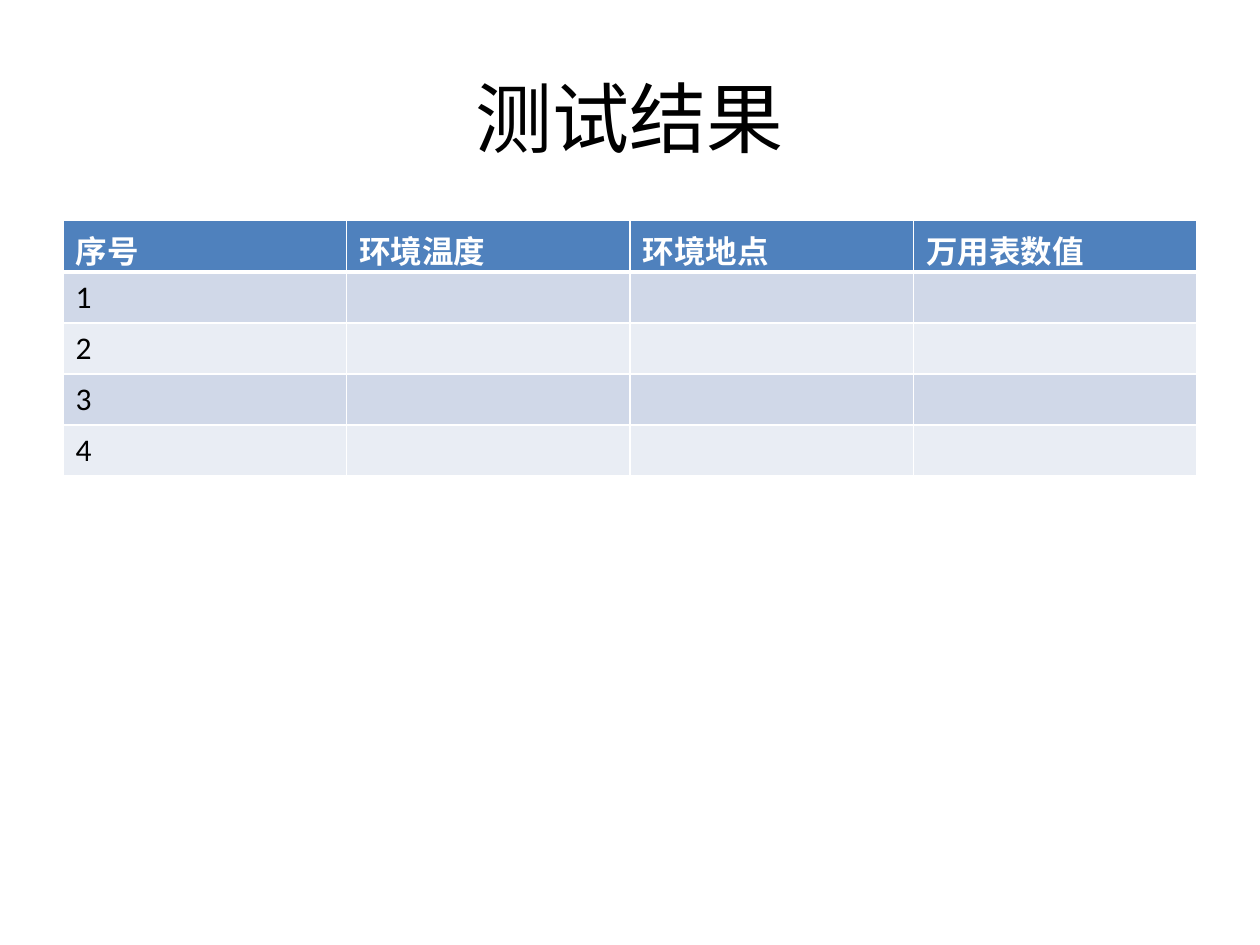
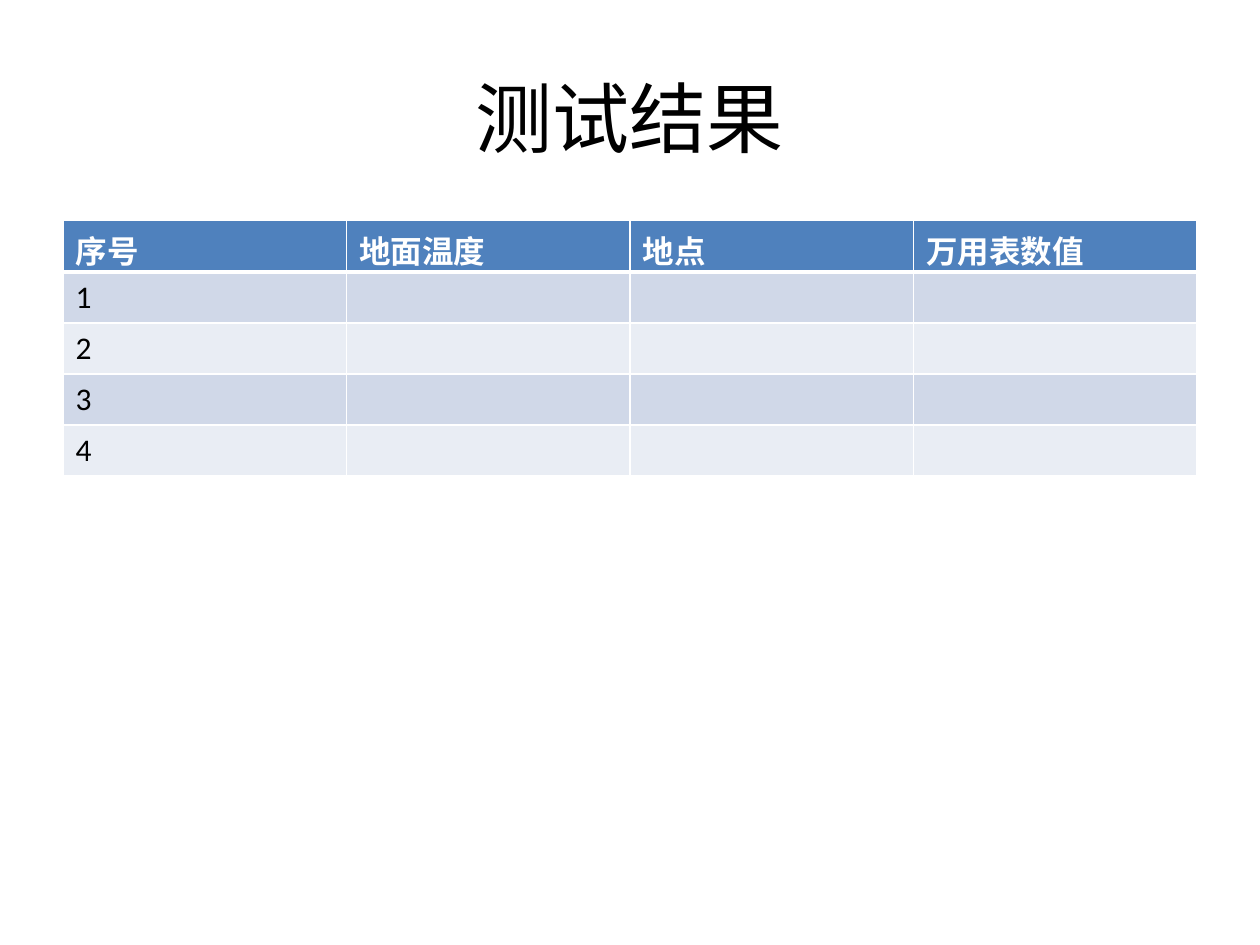
from pptx import Presentation
from pptx.dml.color import RGBColor
from pptx.enum.text import MSO_ANCHOR, PP_ALIGN
from pptx.oxml.ns import qn
from pptx.util import Cm, Pt
from lxml.etree import SubElement

FONT = "Calibri"
BLACK = "000000"
WHITE = "FFFFFF"
HEADER_FILL = "4F81BD"
BAND_FILLS = ["D0D8E8", "E9EDF4"]

TITLE = "测试结果"
TITLE_BOX = (1.27, 0.76, 22.86, 3.18)
TABLE_BOX = (1.27, 4.45, 22.86, 5.15)
SAMPLE_COUNT = 4
PAGE_HEADERS = [
    ["序号", "环境温度", "环境地点", "万用表数值"],
    ["序号", "地面温度", "地点", "万用表数值"],
]


def color(value):
    return RGBColor.from_string(value)


def add_span(para, text, size, text_color, bold=False):
    span = para.add_run()
    span.text = text
    span.font.name = FONT
    span.font.size = Pt(size)
    span.font.bold = bold
    span.font.color.rgb = color(text_color)


def add_title(page, box):
    title = page.shapes.add_textbox(*map(Cm, box))
    frame = title.text_frame
    frame.word_wrap = True
    frame.vertical_anchor = MSO_ANCHOR.MIDDLE
    para = frame.paragraphs[0]
    para.alignment = PP_ALIGN.CENTER
    add_span(para, TITLE, 44, BLACK)


def set_borders(cell, widths):
    properties = cell._tc.get_or_add_tcPr()
    for side, width in widths.items():
        line = SubElement(properties, qn(f"a:ln{side}"), w=str(Pt(width)))
        fill = SubElement(line, qn("a:solidFill"))
        SubElement(fill, qn("a:srgbClr"), val=WHITE)


def add_result_table(page, box, headers):
    rows = [headers]
    for number in range(1, SAMPLE_COUNT + 1):
        rows.append([str(number)] + [""] * (len(headers) - 1))
    left, top, width, height = box
    frame = page.shapes.add_table(
        len(rows), len(headers), Cm(left), Cm(top), Cm(width), Cm(height)
    )
    table = frame.table
    for column in table.columns:
        column.width = Cm(width / len(headers))
    for row_index, texts in enumerate(rows):
        table.rows[row_index].height = Cm(height / len(rows))
        is_header = row_index == 0
        fill = HEADER_FILL if is_header else BAND_FILLS[(row_index - 1) % 2]
        top_width = 3 if row_index == 1 else 1
        bottom_width = 3 if is_header else 1
        for column_index, text in enumerate(texts):
            cell = table.cell(row_index, column_index)
            set_borders(cell, {"L": 1, "R": 1, "T": top_width, "B": bottom_width})
            cell.fill.solid()
            cell.fill.fore_color.rgb = color(fill)
            if text:
                text_color = WHITE if is_header else BLACK
                add_span(cell.text_frame.paragraphs[0], text, 18, text_color, is_header)


def add_result_page(deck, headers):
    page = deck.slides.add_slide(deck.slide_layouts[6])
    add_title(page, TITLE_BOX)
    add_result_table(page, TABLE_BOX, headers)


def main():
    deck = Presentation()
    deck.slide_width = Cm(25.4)
    deck.slide_height = Cm(19.05)
    for headers in PAGE_HEADERS:
        add_result_page(deck, headers)
    deck.save("out.pptx")


if __name__ == "__main__":
    main()
